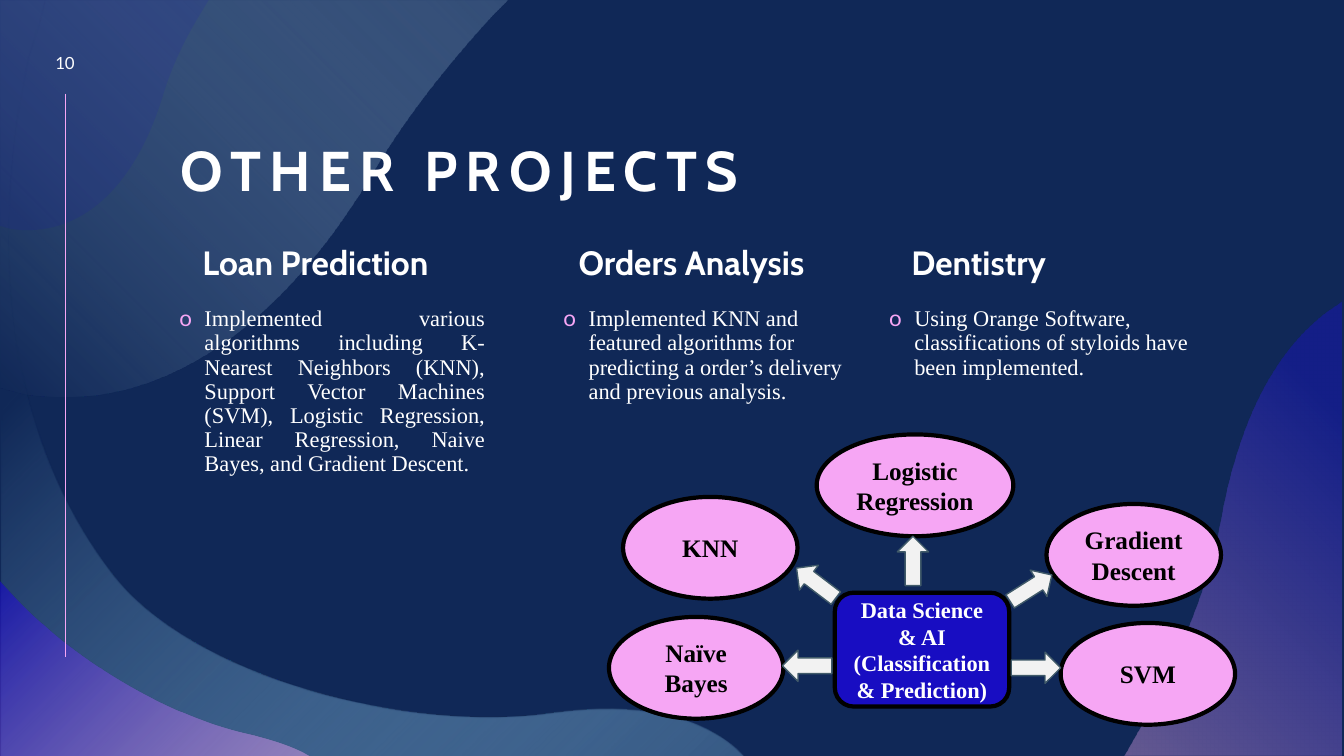
from lxml import etree
from pptx import Presentation
from pptx.dml.color import RGBColor
from pptx.enum import shapes, text
from pptx.oxml import ns
from pptx.util import Inches, Pt

NAVY = RGBColor(0x10, 0x28, 0x57)
SKY = RGBColor(0x92, 0xCD, 0xF0)
ICE = RGBColor(0xBE, 0xE1, 0xF6)
BLUE = RGBColor(0x18, 0x0D, 0xC2)
BRIGHT_BLUE = RGBColor(0x1C, 0x0F, 0xE1)
PINK = RGBColor(0xF6, 0xA6, 0xF4)
LIGHT_PINK = RGBColor(0xF7, 0xAF, 0xF5)
WHITE = RGBColor(0xFF, 0xFF, 0xFF)
BLACK = RGBColor(0, 0, 0)
PALE = RGBColor(0xF2, 0xF2, 0xF2)
SLATE = RGBColor(0x40, 0x5A, 0x69)
SERIF = "Times New Roman"

BOTTOM_RIGHT = dict(l="100000", t="100000")
BOTTOM_LEFT = dict(t="100000", r="100000")

WAVES = [
    ([(0.02, 0), (0.46, 0), (0.45, 0.02), (0.41, 0.2, 0.36, 0.38, 0.29, 0.58),
      (-0.22, 2.95, 0.32, 4.65, 1.11, 5.68), (1.89, 6.72, 4.07, 7.28, 5.48, 7.07),
      (6.34, 6.95, 6.93, 7.11, 7.29, 7.42), (7.37, 7.5), (0.02, 7.5)],
     [(0, SKY, 30), (73, NAVY, 100)], BOTTOM_RIGHT),
    ([(0.01, 0.01), (5.03, 0.01), (4.88, 0.16), (4.43, 0.65, 4.03, 1.16, 3.73, 1.66),
      (2.63, 3.53, 1.34, 4.09, 0.23, 3.9), (0.01, 3.84)],
     [(0, NAVY, 56), (99, ICE, 20)], None),
    ([(0, 0), (2.07, 0), (2.01, 0.1), (1.83, 0.39, 1.69, 0.69, 1.61, 0.97),
      (1.28, 2.02, 0.67, 2.36, 0.1, 2.27), (0, 2.24)],
     [(0, BLUE, 11)], None),
    ([(0, 5.76), (0.11, 5.88), (0.71, 6.54, 1.65, 7.09, 2.42, 7.27),
      (2.64, 7.32, 2.84, 7.38, 3, 7.46), (3.07, 7.5), (0, 7.5)],
     [(0, PINK, 45), (98, BLUE, 67)], BOTTOM_RIGHT),
    ([(13.31, 2.99), (13.31, 7.5), (11.15, 7.5), (11.27, 7.29),
      (11.69, 6.56, 12, 5.78, 12.12, 5.09), (12.31, 4.09, 12.68, 3.46, 13.15, 3.1)],
     [(0, LIGHT_PINK, 36), (83, BRIGHT_BLUE, 35)], BOTTOM_LEFT),
]

PROJECTS = [
    (1.68, 3.23, 0.23, text.PP_ALIGN.JUSTIFY, "Loan Prediction",
     "Implemented various algorithms including K-Nearest Neighbors (KNN), Support Vector "
     "Machines (SVM), Logistic Regression, Linear Regression, Naive Bayes, and Gradient Descent."),
    (5.49, 3.23, 0.15, text.PP_ALIGN.LEFT, "Orders Analysis",
     "Implemented KNN and featured algorithms for predicting a order’s delivery and previous analysis."),
    (8.72, 3.36, 0.22, text.PP_ALIGN.LEFT, "Dentistry",
     "Using Orange Software, classifications of styloids have been implemented."),
]

METHODS = [
    ("KNN", 0.14, 0.62, 1.73),
    ("Naïve Bayes", 0, 1.81, 1.73),
    ("SVM", 4.48, 1.87, 1.73),
    ("Logistic Regression", 2.06, 0, 1.95),
    ("Gradient Descent", 4.34, 0.69, 1.73),
]
ARROWS = [(2.86, 1.01, 180), (1.81, 2.05, 90), (1.9, 1.23, 127.3),
          (4.08, 2.07, 270), (4.03, 1.28, 237.7)]


def sub(parent, tag, **attributes):
    return etree.SubElement(parent, ns.qn(tag), **attributes)


def format_text(paragraph, size, font, color, bold=False, align=None):
    paragraph.font.size = Pt(size)
    paragraph.font.name = font
    paragraph.font.bold = bold
    paragraph.font.color.rgb = color
    paragraph.alignment = align


def draw_wave(slide, left, top, points):
    ends = [(Inches(left + point[-2]), Inches(top + point[-1])) for point in points]
    builder = slide.shapes.build_freeform(*ends[0])
    builder.add_line_segments(ends[1:])
    wave = builder.convert_to_shape()
    segments = list(wave._element.spPr.iter(ns.qn("a:lnTo")))
    for segment, point in zip(segments, points[1:]):
        if len(point) == 6:
            curve = etree.Element(ns.qn("a:cubicBezTo"))
            for x, y in zip(point[::2], point[1::2]):
                sub(curve, "a:pt", x=str(Inches(left + x) - wave.left),
                    y=str(Inches(top + y) - wave.top))
            segment.getparent().replace(segment, curve)
    wave.shadow.inherit = False
    wave.line.fill.background()
    return wave


def fill_wave(wave, stops, focus):
    fill = wave.fill
    if len(stops) == 1:
        fill.solid()
        fill.fore_color.rgb = stops[0][1]
    else:
        fill.gradient()
        fill.gradient_angle = 45
        for stop, (position, color, _) in zip(fill.gradient_stops, stops):
            stop.position = position / 100
            stop.color.rgb = color
    properties = wave._element.spPr
    for color, (_, _, opacity) in zip(properties.iter(ns.qn("a:srgbClr")), stops):
        sub(color, "a:alpha", val=str(opacity * 1000))
    if focus:
        gradient = properties.find(ns.qn("a:gradFill"))
        gradient.remove(gradient.find(ns.qn("a:lin")))
        circle = sub(gradient, "a:path", path="circle")
        sub(circle, "a:fillToRect", **focus)


def add_backdrop(slide, left, top):
    slide.background.fill.solid()
    slide.background.fill.fore_color.rgb = NAVY
    for points, stops, focus in WAVES:
        fill_wave(draw_wave(slide, left, top, points), stops, focus)
    x = Inches(left + 0.65)
    rule = slide.shapes.add_connector(
        shapes.MSO_CONNECTOR.STRAIGHT, x, Inches(top + 0.93), x, Inches(top + 6.52))
    rule.line.color.rgb = PINK
    rule.line.width = Pt(0.5)
    sub(rule._element.spPr, "a:effectLst")


def add_title(slide, left, top, width, height):
    title = slide.shapes.title
    slide.shapes._spTree.append(title._element)
    title.left, title.top, title.width, title.height = map(Inches, (left, top, width, height))
    frame = title.text_frame
    frame.text = "OTHER PROJECTS"
    frame.auto_size = text.MSO_AUTO_SIZE.NONE
    frame.vertical_anchor = text.MSO_ANCHOR.BOTTOM
    heading = frame.paragraphs[0]
    format_text(heading, 40, "Cabin", WHITE, True, text.PP_ALIGN.LEFT)
    heading.line_spacing = 0.9
    heading.runs[0].font._element.set("spc", "600")


def add_text(slide, left, top, width, height, words):
    frame = slide.shapes.add_textbox(*map(Inches, (left, top, width, height))).text_frame
    frame.word_wrap = True
    frame.text = words
    return frame


def add_page_number(slide, left, top, width, height):
    frame = add_text(slide, left, top, width, height, "10")
    frame.vertical_anchor = text.MSO_ANCHOR.MIDDLE
    format_text(frame.paragraphs[0], 12, "Lato", WHITE, align=text.PP_ALIGN.CENTER)


def add_project(slide, left, top, width, indent, align, name, summary):
    heading = add_text(slide, left, top, width, 0.54, name).paragraphs[0]
    format_text(heading, 24, "Cabin", WHITE, True)
    heading._p.get_or_add_pPr().set("marL", str(Inches(indent)))
    detail = add_text(slide, left, top + 0.6, width, 2.82, summary).paragraphs[0]
    format_text(detail, 16, SERIF, WHITE, align=align)
    for paragraph in (heading, detail):
        paragraph.line_spacing = 0.9
        paragraph.space_before = Pt(10)
    properties = detail._p.get_or_add_pPr()
    properties.set("marL", str(Inches(0.25)))
    properties.set("indent", str(Inches(-0.25)))
    bullet = [etree.Element(ns.qn(tag)) for tag in ("a:buClr", "a:buFont", "a:buChar")]
    sub(bullet[0], "a:srgbClr", val=str(PINK))
    bullet[1].set("typeface", "Lato")
    bullet[2].set("char", "o")
    run_defaults = properties.find(ns.qn("a:defRPr"))
    for part in bullet:
        run_defaults.addprevious(part)


def add_node(slide, kind, box, fill, line, weight):
    node = slide.shapes.add_shape(kind, *map(Inches, box))
    node.shadow.inherit = False
    node.fill.solid()
    node.fill.fore_color.rgb = fill
    node.line.color.rgb = line
    node.line.width = Pt(weight)
    return node


def label(node, words, size, color):
    frame = node.text_frame
    frame.word_wrap = True
    frame.vertical_anchor = text.MSO_ANCHOR.MIDDLE
    frame.text = words
    for paragraph in frame.paragraphs:
        format_text(paragraph, size, SERIF, color, True, text.PP_ALIGN.CENTER)


def add_method_map(slide, left, top):
    kinds = shapes.MSO_SHAPE
    hub = add_node(slide, kinds.ROUNDED_RECTANGLE, (left + 2.24, top + 1.57, 1.73, 1.13),
                   BLUE, BLACK, 3)
    label(hub, "Data Science & AI\n(Classification & Prediction)", 16, WHITE)
    for name, x, y, width in METHODS:
        method = add_node(slide, kinds.OVAL, (left + x, top + y, width, 1.01), PINK, BLACK, 3)
        label(method, name, 18, BLACK)
    for x, y, angle in ARROWS:
        arrow = add_node(slide, kinds.DOWN_ARROW, (left + x, top + y, 0.31, 0.49), PALE, SLATE, 1)
        arrow.rotation = angle


def main():
    deck = Presentation()
    deck.slide_width, deck.slide_height = Inches(13.33), Inches(7.5)
    slide = deck.slides.add_slide(deck.slide_layouts[5])
    add_backdrop(slide, 0, 0)
    add_title(slide, 1.69, 0.9, 9.71, 1.17)
    add_page_number(slide, 0.36, 0.45, 0.57, 0.34)
    for left, width, *content in PROJECTS:
        add_project(slide, left, 2.4, width, *content)
    add_method_map(slide, 6.04, 4.31)
    deck.save("out.pptx")


if __name__ == "__main__":
    main()
